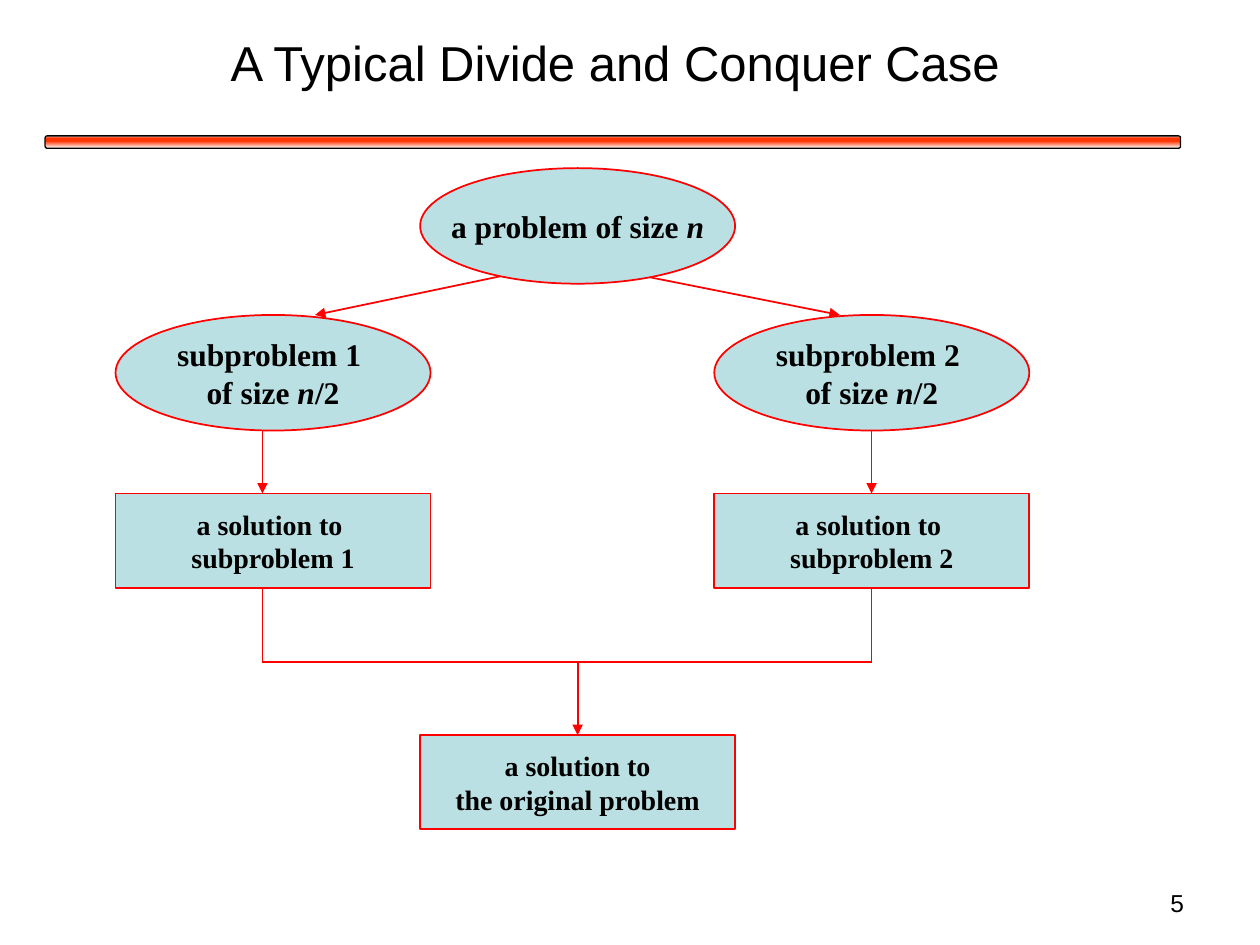
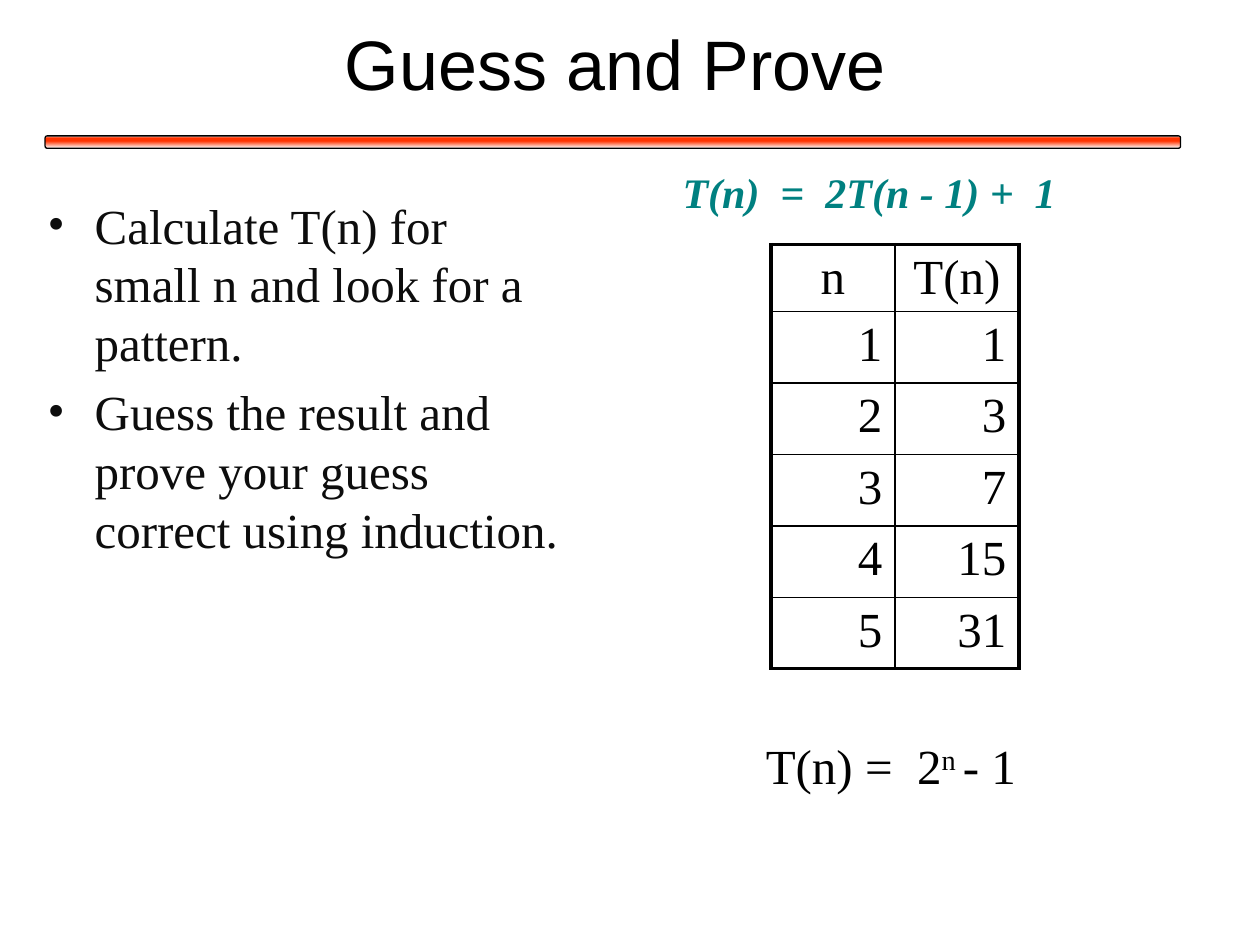
from typing import NamedTuple

from pptx import Presentation, util as u
from pptx.dml.color import RGBColor
from pptx.enum import shapes as sh, text as tx
from pptx.oxml import parse_xml
from pptx.oxml.ns import nsdecls

BLACK = RGBColor(0, 0, 0)
INK = RGBColor(0x0D, 0x0D, 0x0D)
RED = RGBColor(0xFF, 0, 0)
PALE = RGBColor(0xBB, 0xE0, 0xE3)
TEAL = RGBColor(0, 0x80, 0x80)
FLAME = RGBColor(0xFF, 0x33, 0)
WHITE = RGBColor(0xFF, 0xFF, 0xFF)
SANS, SERIF = "Arial", "Times New Roman"
MID, RIGHT = tx.PP_ALIGN.CENTER, tx.PP_ALIGN.RIGHT
OVAL, RECT = sh.MSO_SHAPE.OVAL, sh.MSO_SHAPE.RECTANGLE


class Box(NamedTuple):
    """A place on the slide, in centimetres."""
    left: float
    top: float
    width: float
    height: float

    def emu(self) -> list[u.Cm]:
        return [u.Cm(side) for side in self]


class Node(NamedTuple):
    """A step of the diagram; *stars* mark italic words."""
    form: sh.MSO_SHAPE
    left: float
    top: float
    lines: list[str]


class Link(NamedTuple):
    """A line of the diagram, with or without an arrowhead."""
    x1: float
    y1: float
    x2: float
    y2: float
    arrow: bool = True


def style(para, size: float, face: str = SERIF, color: RGBColor = BLACK,
          bold: bool = False, align=None) -> None:
    """Format every run of a paragraph alike."""
    para.alignment = align
    for run in para.runs:
        font = run.font
        font.name, font.size, font.bold = face, u.Pt(size), bold
        font.color.rgb = color


def add_text(slide, box: Box, lines: list[str], wrap: bool = False):
    frame = slide.shapes.add_textbox(*box.emu()).text_frame
    frame.text = "\n".join(lines)
    frame.word_wrap = wrap
    return frame


# Title and band shared by all slides
def add_bar(slide) -> None:
    bar = slide.shapes.add_shape(sh.MSO_SHAPE.ROUNDED_RECTANGLE,
                                 *Box(0.91, 2.74, 22.89, 0.25).emu())
    bar.adjustments[0] = 0.17
    bar.shadow.inherit = False
    bar.line.color.rgb, bar.line.width = BLACK, u.Pt(0.75)
    stops = [(0, WHITE), (16, FLAME), (42, FLAME), (100, WHITE)]
    marks = "".join(f'<a:gs pos="{pos * 1000}"><a:srgbClr val="{color}"/></a:gs>'
                    for pos, color in stops)
    fill = parse_xml(f'<a:gradFill {nsdecls("a")}><a:gsLst>{marks}</a:gsLst>'
                     '<a:lin ang="5400000" scaled="0"/></a:gradFill>')
    bar._element.spPr.prstGeom.addnext(fill)


def add_slide(deck, title: str, size: float):
    slide = deck.slides.add_slide(deck.slide_layouts[5])
    add_bar(slide)
    head = slide.shapes.title
    head.left, head.top, head.width, head.height = Box(0.97, 0, 22.86, 2.51).emu()
    frame = head.text_frame
    frame.text = title
    frame.auto_size = tx.MSO_AUTO_SIZE.NONE
    frame.vertical_anchor = tx.MSO_ANCHOR.MIDDLE
    style(frame.paragraphs[0], size, SANS, align=MID)
    return slide


# Diagram parts
WIDE = 6.35
TALL = {OVAL: 2.33, RECT: 1.9}
SIZE = {OVAL: 18, RECT: 16}


def add_node(slide, node: Node) -> None:
    box = Box(node.left, node.top, WIDE, TALL[node.form])
    shape = slide.shapes.add_shape(node.form, *box.emu())
    shape.shadow.inherit = False
    shape.fill.solid()
    shape.fill.fore_color.rgb = PALE
    shape.line.color.rgb, shape.line.width = RED, u.Pt(1)
    frame = shape.text_frame
    frame.word_wrap = False
    frame.vertical_anchor = tx.MSO_ANCHOR.MIDDLE
    for i, line in enumerate(node.lines):
        para = frame.add_paragraph() if i else frame.paragraphs[0]
        for j, part in enumerate(line.split("*")):
            if part:
                run = para.add_run()
                run.text = part
                run.font.italic = j % 2 == 1
        style(para, SIZE[node.form], bold=True, align=MID)


def add_link(slide, link: Link) -> None:
    ends = [u.Cm(end) for end in link[:4]]
    line = slide.shapes.add_connector(sh.MSO_CONNECTOR.STRAIGHT, *ends)
    line.line.color.rgb, line.line.width = RED, u.Pt(1)
    if link.arrow:
        tail = parse_xml(f'<a:tailEnd {nsdecls("a")} type="triangle"/>')
        line.line._get_or_add_ln().append(tail)
    line._element.spPr.append(parse_xml(f'<a:effectLst {nsdecls("a")}/>'))


def draw_case(deck) -> None:
    slide = add_slide(deck, "A Typical Divide and Conquer Case", 28)
    page = add_text(slide, Box(18.2, 17.78, 5.92, 0.89), ["5"], True)
    style(page.paragraphs[0], 14, SANS, align=RIGHT)

    # Rows and columns
    cols, mid = (2.33, 14.4), 8.47
    root, split, solve, merge = 3.39, 6.35, 9.95, 14.82
    axes, heart = (5.29, 17.57), mid + WIDE / 2
    low, base, join = split + TALL[OVAL], solve + TALL[RECT], 13.34

    # Links go first, so that the ovals cover their ends
    links = [Link(10.37, 5.51, 6.35, split), Link(12.7, 5.51, 16.93, split),
             Link(axes[0], join, axes[1], join, False),
             Link(heart, join, heart, merge)]
    for x in axes:
        links += [Link(x, low, x, solve), Link(x, base, x, join, False)]
    for link in links:
        add_link(slide, link)

    nodes = [Node(OVAL, mid, root, ["a problem of size *n*"]),
             Node(RECT, mid, merge, ["a solution to", "the original problem"])]
    for i, x in enumerate(cols, 1):
        nodes += [Node(OVAL, x, split, [f"subproblem {i} ", "of size *n*/2"]),
                  Node(RECT, x, solve, ["a solution to ", f"subproblem {i}"])]
    for node in nodes:
        add_node(slide, node)


# Table with a thick frame and thin inner lines
def add_edge(cell, side: str, width: float) -> None:
    cell._tc.get_or_add_tcPr().append(parse_xml(
        f'<a:ln{side} {nsdecls("a")} w="{u.Pt(width)}"><a:solidFill>'
        f'<a:srgbClr val="{BLACK}"/></a:solidFill></a:ln{side}>'))


def add_grid(slide, box: Box, rows: list[tuple], first: float) -> None:
    count, span = len(rows), len(rows[0])
    grid = slide.shapes.add_table(count, span, *box.emu()).table
    grid.first_row = grid.horz_banding = False
    rest = (box.height - first) / (count - 1)
    for r, row in enumerate(rows):
        grid.rows[r].height = u.Cm(rest if r else first)
        for c, value in enumerate(row):
            cell = grid.cell(r, c)
            cell.text = str(value)
            cell.margin_bottom = 0
            style(cell.text_frame.paragraphs[0], 28, align=RIGHT if r else MID)
            outer = {"L": c == 0, "R": c == span - 1,
                     "T": r == 0, "B": r == count - 1}
            for side, edge in outer.items():
                add_edge(cell, side, 2.25 if edge else 1)
            cell.fill.background()


def add_list(slide, box: Box, items: list[str]) -> None:
    for para in add_text(slide, box, items, True).paragraphs:
        style(para, 28, color=INK)
        para.space_before = u.Pt(5.6)
        props = para._p.get_or_add_pPr()
        props.set("marL", str(u.Cm(0.95)))
        props.set("indent", str(-u.Cm(0.95)))
        props.append(parse_xml(f'<a:buFont {nsdecls("a")} typeface="{SERIF}"/>'))
        props.append(parse_xml(f'<a:buChar {nsdecls("a")} char="•"/>'))


def draw_guess(deck) -> None:
    slide = add_slide(deck, "Guess and Prove", 40)
    add_list(slide, Box(0.71, 3.81, 10.8, 11.43),
             ["Calculate T(n) for small n and look for a pattern.",
              "Guess the result and prove your guess correct using induction."])
    rows = [("n", "T(n)")] + [(n, 2 ** n - 1) for n in range(1, 6)]
    add_grid(slide, Box(15.54, 4.93, 5, 8.55), rows, 1.35)

    # Recurrence above the table, closed form below it
    rule = add_text(slide, Box(13.51, 3.23, 8.36, 1.27), ["T(n)  =  2T(n - 1) +  1"])
    style(rule.paragraphs[0], 24, color=TEAL, bold=True)
    rule.paragraphs[0].runs[0].font.italic = True

    para = add_text(slide, Box(15.19, 14.71, 5.69, 1.45), ["T(n) =  2"]).paragraphs[0]
    for part in ("n ", "- 1"):
        para.add_run().text = part
    style(para, 28)
    para.runs[1].font._element.set("baseline", "30000")


deck = Presentation()
deck.slide_width, deck.slide_height = u.Cm(25.4), u.Cm(19.05)
draw_case(deck)
draw_guess(deck)
deck.save("out.pptx")
